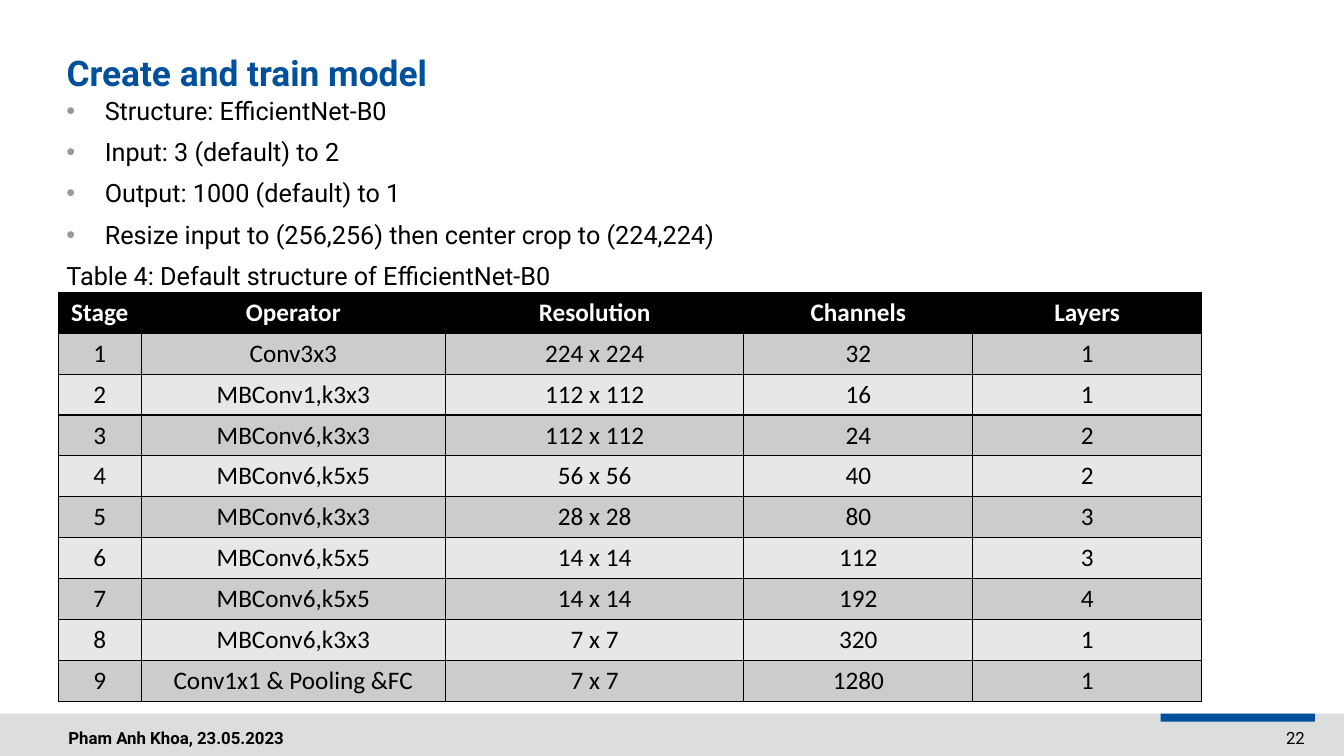
import pptx
import pptx.dml.color
import pptx.enum.shapes
import pptx.enum.text
import pptx.oxml
import pptx.oxml.ns
import pptx.util

RGBColor = pptx.dml.color.RGBColor
ALIGN = pptx.enum.text.PP_ALIGN
ANCHOR = pptx.enum.text.MSO_ANCHOR

BLACK = RGBColor(0x00, 0x00, 0x00)
WHITE = RGBColor(0xFF, 0xFF, 0xFF)
BLUE = RGBColor(0x00, 0x50, 0x9B)
FOOTER_GREY = RGBColor(0xDC, 0xDE, 0xDE)
BULLET_GREY = RGBColor(0x99, 0x99, 0x99)
ROW_DARK = RGBColor(0xCC, 0xCC, 0xCC)
ROW_LIGHT = RGBColor(0xE7, 0xE7, 0xE7)

# Positions and sizes are percentages of the slide's width and height
LEFT = 4.35
CONTENT_WIDTH = 88.8
FOOTER_TOP = 94.4
FOOTER_TEXT_TOP = 95.6

BULLETS = [
    "Structure: EfficientNet-B0",
    "Input: 3 (default) to 2",
    "Output: 1000 (default) to 1",
    "Resize input to (256,256) then center crop to (224,224)",
]
CAPTION = "Table 4: Default structure of EfficientNet-B0"
HEADER = ("Stage", "Operator", "Resolution", "Channels", "Layers")
STAGES = [
    ("Conv3x3", 224, 32, 1),
    ("MBConv1,k3x3", 112, 16, 1),
    ("MBConv6,k3x3", 112, 24, 2),
    ("MBConv6,k5x5", 56, 40, 2),
    ("MBConv6,k3x3", 28, 80, 3),
    ("MBConv6,k5x5", 14, 112, 3),
    ("MBConv6,k5x5", 14, 192, 4),
    ("MBConv6,k3x3", 7, 320, 1),
    ("Conv1x1 & Pooling &FC", 7, 1280, 1),
]


class SlideBuilder:
    text_font = "Roboto"
    table_font = "Calibri"
    body_size = 18

    def __init__(self, deck):
        self.deck = deck
        self.slide = deck.slides.add_slide(deck.slide_layouts[5])

    def x(self, percent):
        return round(self.deck.slide_width * percent / 100)

    def y(self, percent):
        return round(self.deck.slide_height * percent / 100)

    def box(self, left, top, width, height):
        return self.x(left), self.y(top), self.x(width), self.y(height)

    def format_runs(self, paragraph, size, color=BLACK, bold=False, font=None):
        for run in paragraph.runs:
            run.font.name = font or self.text_font
            run.font.size = pptx.util.Pt(size)
            run.font.bold = bold
            run.font.color.rgb = color

    def set_insets(self, frame, bottom):
        frame.margin_left = pptx.util.Inches(0.08)
        frame.margin_top = pptx.util.Inches(0.05)
        frame.margin_right = pptx.util.Inches(0.1)
        frame.margin_bottom = pptx.util.Inches(bottom)

    def title(self, text, *place):
        heading = self.slide.shapes.title
        heading.left, heading.top, heading.width, heading.height = self.box(*place)
        frame = heading.text_frame
        frame.text = text
        frame.word_wrap = True
        frame.auto_size = pptx.enum.text.MSO_AUTO_SIZE.NONE
        frame.vertical_anchor = ANCHOR.BOTTOM
        self.set_insets(frame, bottom=0)
        paragraph = frame.paragraphs[0]
        paragraph.alignment = ALIGN.LEFT
        paragraph.line_spacing = 0.9
        self.format_runs(paragraph, 25.2, BLUE, bold=True)

    def bar(self, color, *place):
        rectangle = self.slide.shapes.add_shape(
            pptx.enum.shapes.MSO_SHAPE.RECTANGLE, *self.box(*place))
        rectangle.shadow.inherit = False
        rectangle.fill.solid()
        rectangle.fill.fore_color.rgb = color
        rectangle.line.fill.background()

    def label(self, text, *place, align=ALIGN.LEFT, bold=False):
        frame = self.slide.shapes.add_textbox(*self.box(*place)).text_frame
        frame.word_wrap = True
        frame.text = text
        frame.paragraphs[0].alignment = align
        self.format_runs(frame.paragraphs[0], 12, bold=bold)

    def add_bullet(self, paragraph):
        properties = paragraph._p.get_or_add_pPr()
        indent = pptx.util.Inches(0.38)
        properties.set("marL", str(indent))
        properties.set("indent", str(-indent))
        namespace = pptx.oxml.ns.nsdecls("a")
        for xml in (
            f'<a:buClr {namespace}><a:srgbClr val="{BULLET_GREY}"/></a:buClr>',
            f'<a:buFont {namespace} typeface="Arial"/>',
            f'<a:buChar {namespace} char="•"/>',
        ):
            properties.append(pptx.oxml.parse_xml(xml))

    def body(self, bullets, caption, *place):
        frame = self.slide.shapes.add_textbox(*self.box(*place)).text_frame
        frame.word_wrap = True
        self.set_insets(frame, bottom=0.05)
        frame.text = "\n".join([*bullets, caption])
        for index, paragraph in enumerate(frame.paragraphs):
            if index < len(bullets):
                self.add_bullet(paragraph)
            paragraph.line_spacing = 0.9
            if index:
                paragraph.space_before = pptx.util.Pt(10)
            self.format_runs(paragraph, self.body_size)

    def add_borders(self, cell):
        properties = cell._tc.get_or_add_tcPr()
        for side in ("lnL", "lnR", "lnT", "lnB"):
            properties.append(pptx.oxml.parse_xml(
                f'<a:{side} {pptx.oxml.ns.nsdecls("a")} w="{pptx.util.Pt(1)}">'
                f'<a:solidFill><a:srgbClr val="{BLACK}"/></a:solidFill></a:{side}>'))

    def table(self, rows, left, top, column_widths, row_height):
        place = self.box(left, top, sum(column_widths), row_height * len(rows))
        grid = self.slide.shapes.add_table(
            len(rows), len(column_widths), *place).table
        for column, width in zip(grid.columns, column_widths):
            column.width = self.x(width)
        for index, values in enumerate(rows):
            grid.rows[index].height = self.y(row_height)
            is_header = index == 0
            fill = BLACK if is_header else (ROW_LIGHT, ROW_DARK)[index % 2]
            for cell, value in zip(grid.rows[index].cells, values):
                self.add_borders(cell)
                cell.fill.solid()
                cell.fill.fore_color.rgb = fill
                cell.text = str(value)
                paragraph = cell.text_frame.paragraphs[0]
                paragraph.alignment = ALIGN.CENTER
                self.format_runs(paragraph, self.body_size,
                                 WHITE if is_header else BLACK,
                                 is_header, self.table_font)


def main():
    deck = pptx.Presentation()
    deck.slide_width = pptx.util.Inches(13.33)
    deck.slide_height = pptx.util.Inches(7.5)
    page = SlideBuilder(deck)

    # Footer band with page number and accent
    page.bar(FOOTER_GREY, 0, FOOTER_TOP, 100, 100 - FOOTER_TOP)
    page.label("22", 83.2, FOOTER_TEXT_TOP, 14.63, 4.4, align=ALIGN.RIGHT)
    page.bar(BLUE, 86.35, FOOTER_TOP, 11.48, 1.07)

    # Title and bullet list with the table caption
    page.title("Create and train model", LEFT, 7.2, CONTENT_WIDTH, 5.2)
    page.body(BULLETS, CAPTION, LEFT, 12.4, CONTENT_WIDTH, 75.07)

    # Author and date
    page.label("Pham Anh Khoa, 23.05.2023",
               LEFT, FOOTER_TEXT_TOP, 54.75, 4.4, bold=True)

    # Network stages
    rows = [HEADER] + [
        (stage, operator, f"{side} x {side}", channels, layers)
        for stage, (operator, side, channels, layers) in enumerate(STAGES, 1)
    ]
    page.table(rows, LEFT, 38.67, (6.15, 22.65, 22.2, 17.03, 17.03), 5.41)

    deck.save("out.pptx")


if __name__ == "__main__":
    main()
